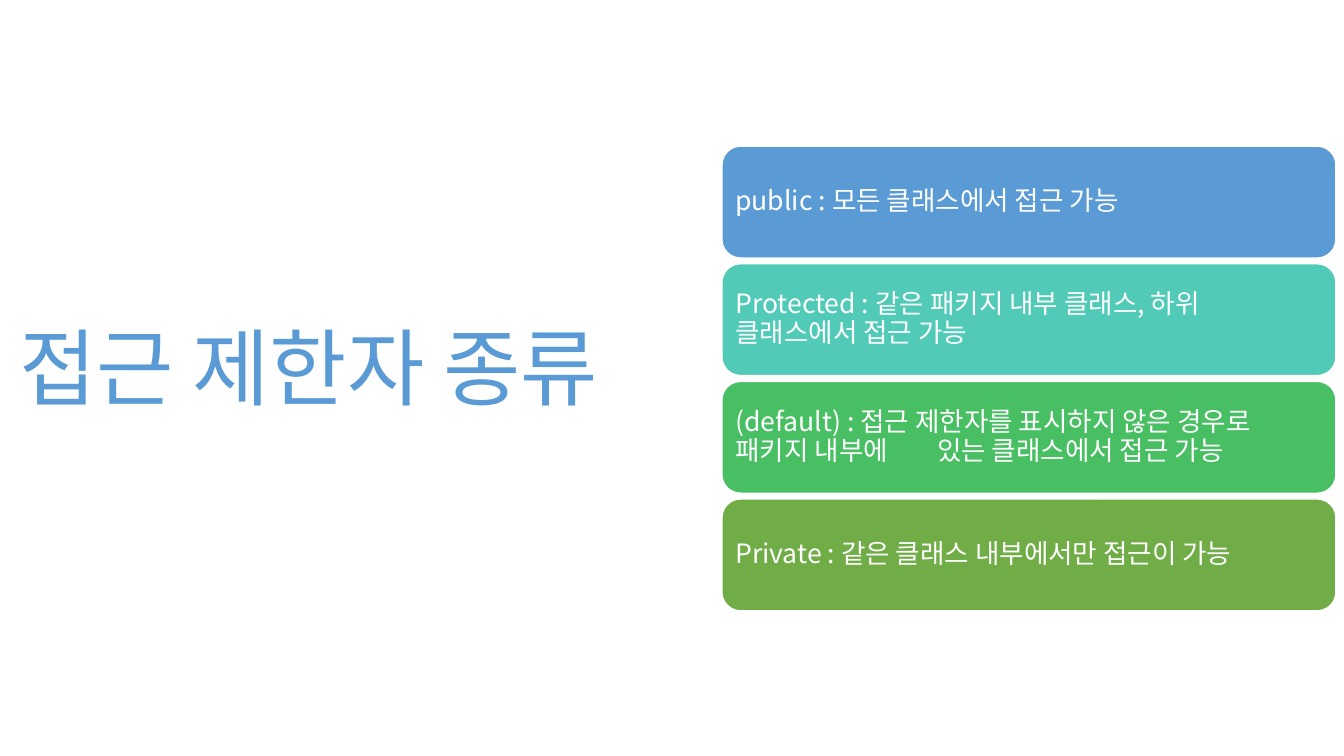
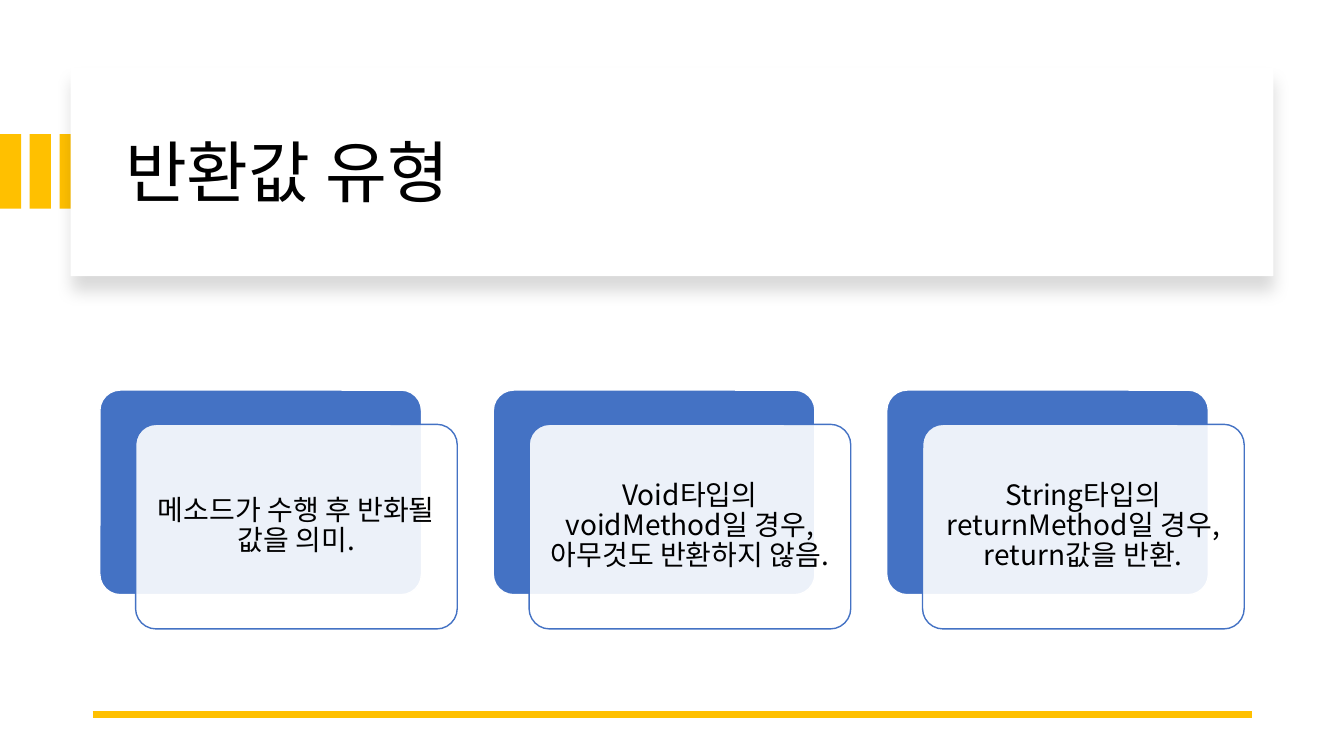
from lxml import etree
from pptx import Presentation
from pptx.dml.color import RGBColor
from pptx.enum.shapes import MSO_CONNECTOR, MSO_SHAPE
from pptx.enum.text import MSO_ANCHOR, MSO_AUTO_SIZE, PP_ALIGN
from pptx.oxml.ns import qn
from pptx.util import Inches, Pt

RECT, ROUND = MSO_SHAPE.RECTANGLE, MSO_SHAPE.ROUNDED_RECTANGLE
LEFT, CENTER = PP_ALIGN.LEFT, PP_ALIGN.CENTER
MIDDLE = MSO_ANCHOR.MIDDLE
FIT_NONE = MSO_AUTO_SIZE.NONE
STRAIGHT = MSO_CONNECTOR.STRAIGHT

FONT = "Noto Sans CJK KR"
WHITE, BLACK = "FFFFFF", "000000"
GOLD, BLUE, SKY = "FFC000", "4472C4", "5B9BD5"
TEAL, GREEN, OLIVE = "52CAB8", "49BF64", "70AD47"


def rgb(color):
    return RGBColor.from_string(color)


def child(parent, tag, **attrs):
    """Append a DrawingML element to parent."""
    el = etree.SubElement(parent, qn(tag))
    for name, value in attrs.items():
        el.set(name, str(value))
    return el


def write(shape, text, size, color, align=LEFT, margin=0.08):
    tf = shape.text_frame
    tf.word_wrap = True
    tf.auto_size = FIT_NONE
    tf.vertical_anchor = MIDDLE
    tf.margin_left = tf.margin_right = Inches(margin)
    tf.margin_top = tf.margin_bottom = Inches(min(margin, 0.08))
    p = tf.paragraphs[0]
    p.alignment = align
    p.line_spacing = 0.9
    r = p.add_run()
    r.text = text
    r.font.size = Pt(size)
    r.font.name = FONT
    r.font.color.rgb = rgb(color)
    child(r.font._element, "a:ea", typeface=FONT)


def add_box(s, kind, box, fill, line=None, radius=None, opacity=None):
    sp = s.shapes.add_shape(kind, *map(Inches, box))
    sp.shadow.inherit = False
    sp.fill.solid()
    sp.fill.fore_color.rgb = rgb(fill)
    if opacity is not None:
        color = sp.element.spPr.find(qn("a:solidFill"))[0]
        child(color, "a:alpha", val=opacity * 1000)
    if line:
        sp.line.color.rgb = rgb(line)
        sp.line.width = Pt(1)
    else:
        sp.line.fill.background()
    if radius is not None:
        sp.adjustments[0] = radius
    return sp


def add_shadow(sp, color, opacity, blur, distance, angle):
    effects = sp.element.spPr.find(qn("a:effectLst"))
    shadow = child(effects, "a:outerShdw", blurRad=Pt(blur), dist=Pt(distance),
                   dir=angle * 60000, algn="t", rotWithShape=0)
    child(child(shadow, "a:srgbClr", val=color), "a:alpha", val=opacity * 1000)


def add_title(s, box, text, size, color):
    title = s.shapes.title
    title.left, title.top, title.width, title.height = map(Inches, box)
    write(title, text, size, color, margin=0.1)
    s.shapes.element.append(title.element)  # in front of what is drawn so far


def add_rows(s, box, rows):
    """Stack of filled bars, spread evenly over the box."""
    x, y, w, h = box
    bar_h = 1.11
    step = (h - bar_h) / (len(rows) - 1)
    for i, (text, fill) in enumerate(rows):
        bar = add_box(s, ROUND, (x, y + i * step, w, bar_h), fill, WHITE)
        write(bar, text, 19, WHITE)


def add_header(s, box, text):
    """Gold stripes at the slide edge, shadowed panel and title."""
    x, y, w, h = box
    for i in range(3):
        add_box(s, RECT, (i * 0.295, y + 0.66, 0.21, 0.74), GOLD)
    panel = add_box(s, RECT, box, WHITE)
    add_shadow(panel, BLACK, 15, 11, 10, 90)
    add_title(s, (x + 0.44, y + 0.22, w - 0.8, 1.7), text, 48, BLACK)


def add_rule(s, x1, x2, y):
    line = s.shapes.add_connector(STRAIGHT, *map(Inches, (x1, y, x2, y)))
    line.line.color.rgb = rgb(GOLD)
    line.line.width = Pt(4.5)
    child(line.element.spPr, "a:effectLst")


def add_cards(s, box, texts):
    """Row of cards: blue back plate and translucent front plate."""
    x, y, w, h = box
    dx, dy = 0.355, 0.34
    card_w, card_h = 3.19, h - dy
    step = (w - dx - card_w) / (len(texts) - 1)
    for i, text in enumerate(texts):
        left = x + i * step
        add_box(s, ROUND, (left, y, card_w, card_h), BLUE, WHITE, radius=0.1)
        front = add_box(s, ROUND, (left + dx, y + dy, card_w, card_h), WHITE, BLUE,
                        radius=0.1, opacity=90)
        write(front, text, 20, BLACK, CENTER)


def build_modifiers(prs, layout):
    s = prs.slides.add_slide(layout)
    add_title(s, (0.09, 0.68, 6.88, 6.02), "접근 제한자 종류", 60, SKY)
    add_rows(s, (7.16, 1.45, 6.09, 4.61), [
        ("public : 모든 클래스에서 접근 가능", SKY),
        ("Protected : 같은 패키지 내부 클래스, 하위 클래스에서 접근 가능", TEAL),
        ("(default) : 접근 제한자를 표시하지 않은 경우로 패키지 내부에 \t있는 클래스에서 접근 가능", GREEN),
        ("Private : 같은 클래스 내부에서만 접근이 가능", OLIVE),
    ])


def build_returns(prs, layout):
    s = prs.slides.add_slide(layout)
    add_header(s, (0.7, 0.67, 11.93, 2.07), "반환값 유형")
    add_rule(s, 0.92, 12.42, 7.09)
    add_cards(s, (0.99, 3.87, 11.35, 2.37), [
        "메소드가 수행 후 반화될 값을 의미.",
        "Void타입의 voidMethod일 경우, 아무것도 반환하지 않음.",
        "String타입의 returnMethod일 경우, return값을 반환.",
    ])


prs = Presentation()
prs.slide_width, prs.slide_height = Inches(13.33), Inches(7.5)
title_only = prs.slide_layouts[5]
build_modifiers(prs, title_only)
build_returns(prs, title_only)
prs.save("out.pptx")
